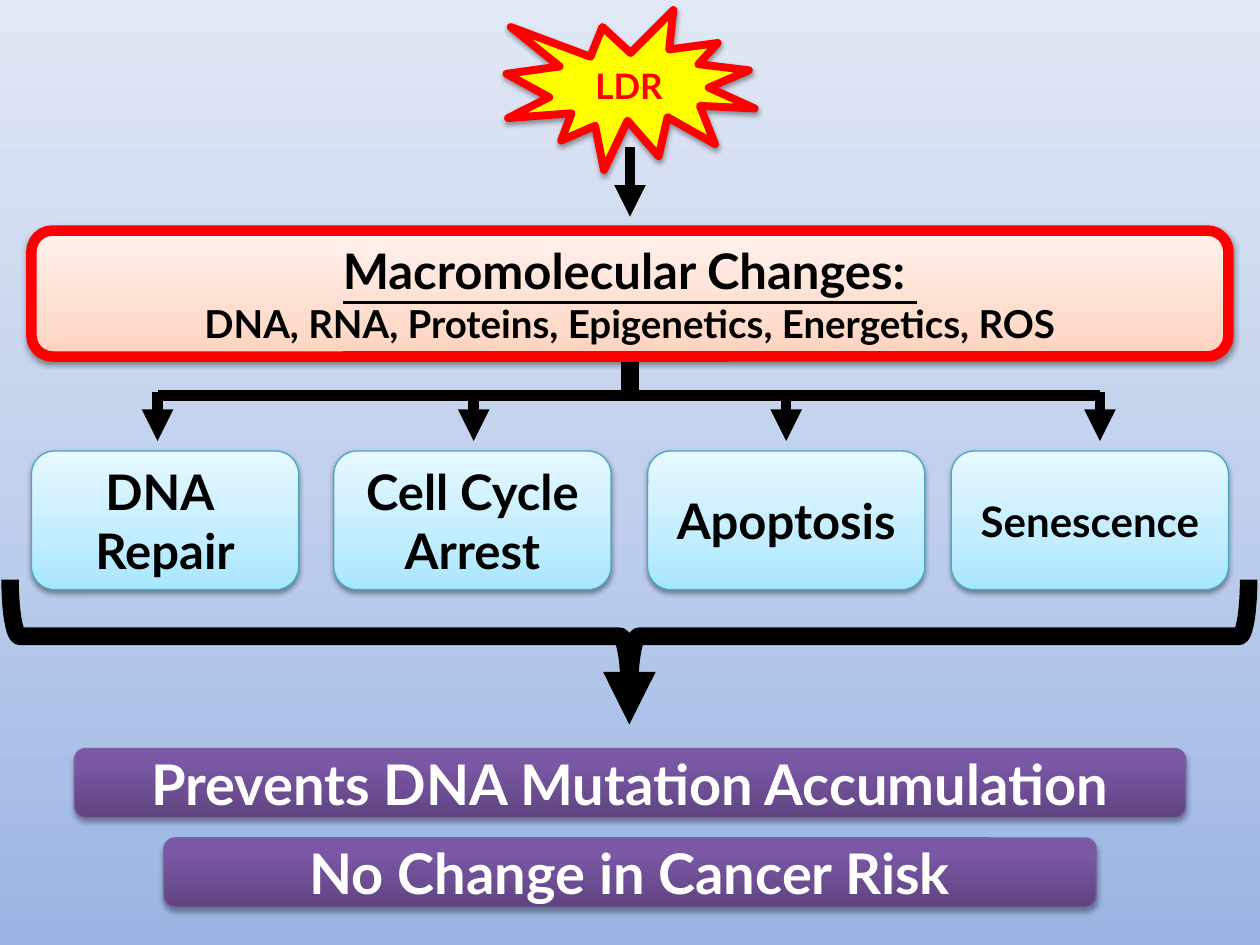
from lxml.etree import SubElement
from copy import deepcopy
from pptx import Presentation
from pptx.dml.color import RGBColor
from pptx.enum.shapes import MSO_CONNECTOR as LINK, MSO_SHAPE as SHAPE
from pptx.enum.text import MSO_ANCHOR as ANCHOR, PP_ALIGN as ALIGN
from pptx.oxml.ns import qn
from pptx.util import Inches, Pt

FONT = "Lato"
HEX = {"black": "000000", "white": "FFFFFF", "red": "FF0000", "yellow": "FFFF00",
       "teal": "46AAC5", "violet": "7D60A0"}
# Gradients run from bottom to top: (position, colour)
GRAD = {
    "sky": [(0, "9AB5E4"), (0.5, "C2D1ED"), (1, "E1E8F5")],
    "aqua": [(0, "A7E6FF"), (0.35, "C1EDFF"), (1, "E7F8FF")],
    "peach": [(0, "FFD2BD"), (0.35, "FFDED0"), (1, "FFF2ED")],
    "plum": [(0, "5F4480"), (0.8, "7B58A6"), (1, "7C57A8")],
}


def rgb(name):
    return RGBColor.from_string(HEX[name])


def paint(shape, name):
    """Fill with a gradient or a plain colour; None leaves it empty."""
    fill = shape.fill
    if name is None:
        fill.background()
    elif name in GRAD:
        fill.gradient()
        fill.gradient_angle = 90
        stops = shape._element.spPr.find(".//" + qn("a:gsLst"))
        stops.append(deepcopy(stops[-1]))
        for stop, (pos, color) in zip(fill.gradient_stops, GRAD[name]):
            stop.position = pos
            stop.color.rgb = RGBColor.from_string(color)
    else:
        fill.solid()
        fill.fore_color.rgb = rgb(name)


def shade(shape, alpha, dist):
    """Drop a soft black shadow straight down."""
    effects = shape._element.spPr.find(qn("a:effectLst"))
    drop = SubElement(effects, qn("a:outerShdw"), blurRad=str(Pt(3.1)),
                      dist=str(Pt(dist)), dir="5400000", rotWithShape="0")
    color = SubElement(drop, qn("a:srgbClr"), val=HEX["black"])
    SubElement(color, qn("a:alpha"), val=str(alpha * 1000))


def draw(slide, kind, box, fill=None, line=None, width=0.75, shadow=None):
    shape = slide.shapes.add_shape(kind, *map(Inches, box))
    shape.shadow.inherit = False
    paint(shape, fill)
    if line:
        shape.line.color.rgb = rgb(line)
        shape.line.width = Pt(width)
    else:
        shape.line.fill.background()
    if shadow:
        shade(shape, *shadow)
    return shape


def write(shape, lines, size=28, color="black", title=False):
    """Write centred bold lines; a line may be a (text, size) pair."""
    frame = shape.text_frame
    frame.word_wrap = False
    frame.vertical_anchor = ANCHOR.MIDDLE
    for i, item in enumerate(lines):
        text, pts = item if isinstance(item, tuple) else (item, size)
        para = frame.paragraphs[0] if i == 0 else frame.add_paragraph()
        para.alignment = ALIGN.CENTER
        run = para.add_run()
        run.text = text
        font = run.font
        font.name, font.size, font.bold = FONT, Pt(pts), True
        font.underline = title and i == 0
        font.color.rgb = rgb(color)


def link(slide, start, end, width=6, arrow=False):
    line = slide.shapes.add_connector(LINK.STRAIGHT, *map(Inches, start + end))
    line.line.color.rgb = rgb("black")
    line.line.width = Pt(width)
    props = line._element.spPr
    if arrow:
        SubElement(props.find(qn("a:ln")), qn("a:tailEnd"), type="triangle")
    SubElement(props, qn("a:effectLst"))


def burst(slide, box):
    """Trigger at the top."""
    star = draw(slide, SHAPE.EXPLOSION1, box, "yellow", "red", 4.5, (38, 1.6))
    write(star, ["LDR"], 20, "red")


def panel(slide, box, lines):
    """Wide box of molecular changes."""
    shape = draw(slide, SHAPE.ROUNDED_RECTANGLE, box, "peach", "red", 6, (38, 1.6))
    write(shape, lines, title=True)


def fan(slide, box, drops, mid):
    """Stem, crossbar and one arrow for each outcome."""
    left, top, width, height = box
    bar = top + 0.47
    link(slide, (mid, top), (mid, bar), 10)
    link(slide, (left, bar), (left + width, bar))
    for x in drops:
        link(slide, (left + x, bar - 0.03), (left + x, top + height), arrow=True)


def cards(slide, box, items):
    """Row of outcomes: offset, width, text size and lines."""
    left, top, _, height = box
    for x, wide, size, lines in items:
        card = draw(slide, SHAPE.ROUNDED_RECTANGLE, (left + x, top, wide, height),
                    "aqua", "teal", shadow=(38, 1.6))
        write(card, lines, size)


def brace(slide, box):
    """Downward brace with an arrow from its middle."""
    left, top, width, height = box
    mid, level = left + width / 2, top + height / 2
    turned = (mid - height / 2, level - width / 2, height, width)
    shape = draw(slide, SHAPE.RIGHT_BRACE, turned, line="black", width=10)
    shape.rotation = 90
    link(slide, (mid, level), (mid, level + 0.7), 10, True)


def banners(slide, box, items):
    """Centred bars of results."""
    left, top, width, height = box
    for i, (wide, text) in enumerate(items):
        place = (left + (width - wide) / 2, top + i * 0.71, wide, height)
        bar = draw(slide, SHAPE.ROUNDED_RECTANGLE, place, "plum", "violet",
                   shadow=(35, 1.8))
        write(bar, [text], 32, "white")


def main():
    deck = Presentation()
    deck.slide_width, deck.slide_height = Inches(10), Inches(7.5)
    slide = deck.slides.add_slide(deck.slide_layouts[6])

    draw(slide, SHAPE.RECTANGLE, (0, 0, 10, 7.5), "sky")
    burst(slide, (4.02, 0.08, 1.97, 1.27))
    link(slide, (5, 1.17), (5, 1.72), arrow=True)
    fan(slide, (1.25, 2.67, 7.48, 0.83), [0, 2.51, 4.99, 7.48], 5)
    panel(slide, (0.25, 1.83, 9.5, 1), [
        "Macromolecular Changes: ",
        ("DNA, RNA, Proteins, Epigenetics, Energetics, ROS", 22)])
    cards(slide, (0.25, 3.58, 9.5, 1.1), [
        (0, 2.12, 28, ["DNA ", "Repair"]),
        (2.4, 2.2, 28, ["Cell Cycle", "Arrest"]),
        (4.89, 2.2, 28, ["Apoptosis"]),
        (7.3, 2.2, 24, ["Senescence"])])
    brace(slide, (0.08, 4.6, 9.83, 0.9))
    banners(slide, (0.59, 5.94, 8.82, 0.55), [
        (8.82, "Prevents DNA Mutation Accumulation"),
        (7.4, "No Change in Cancer Risk")])
    deck.save("out.pptx")


if __name__ == "__main__":
    main()
